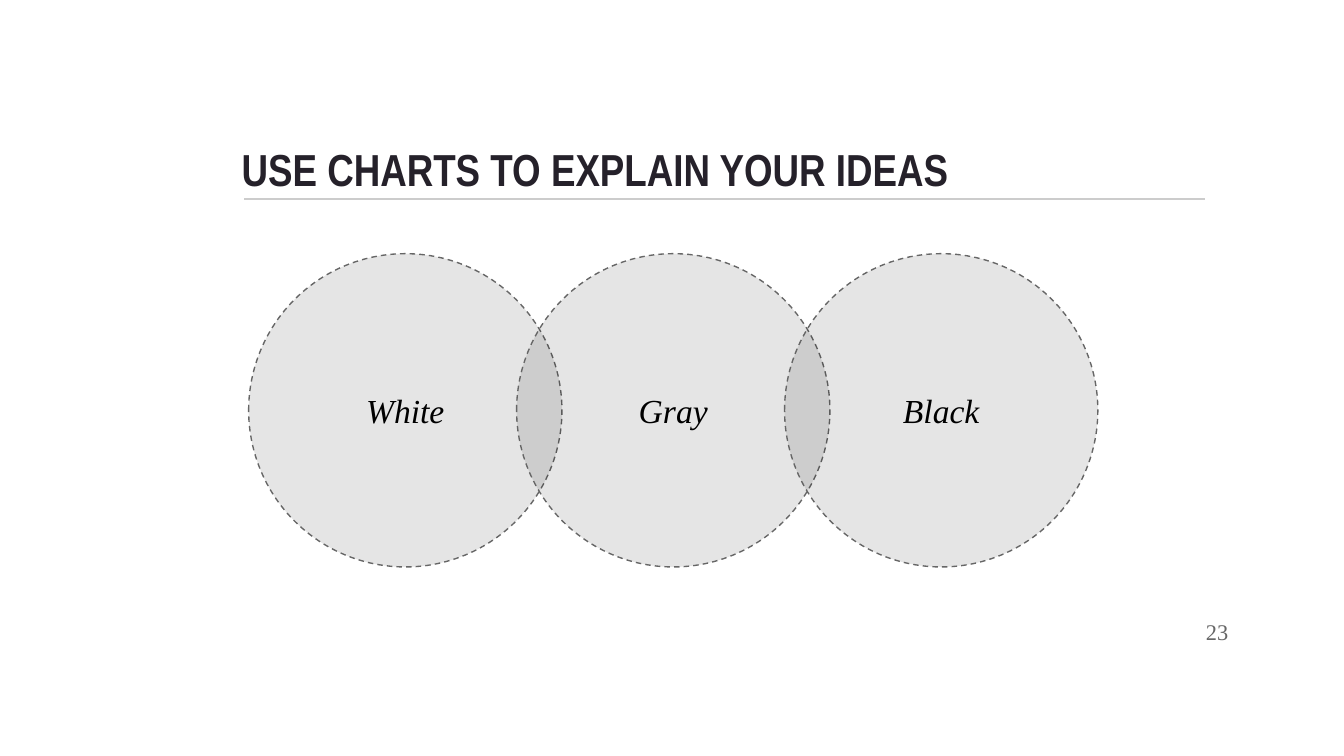
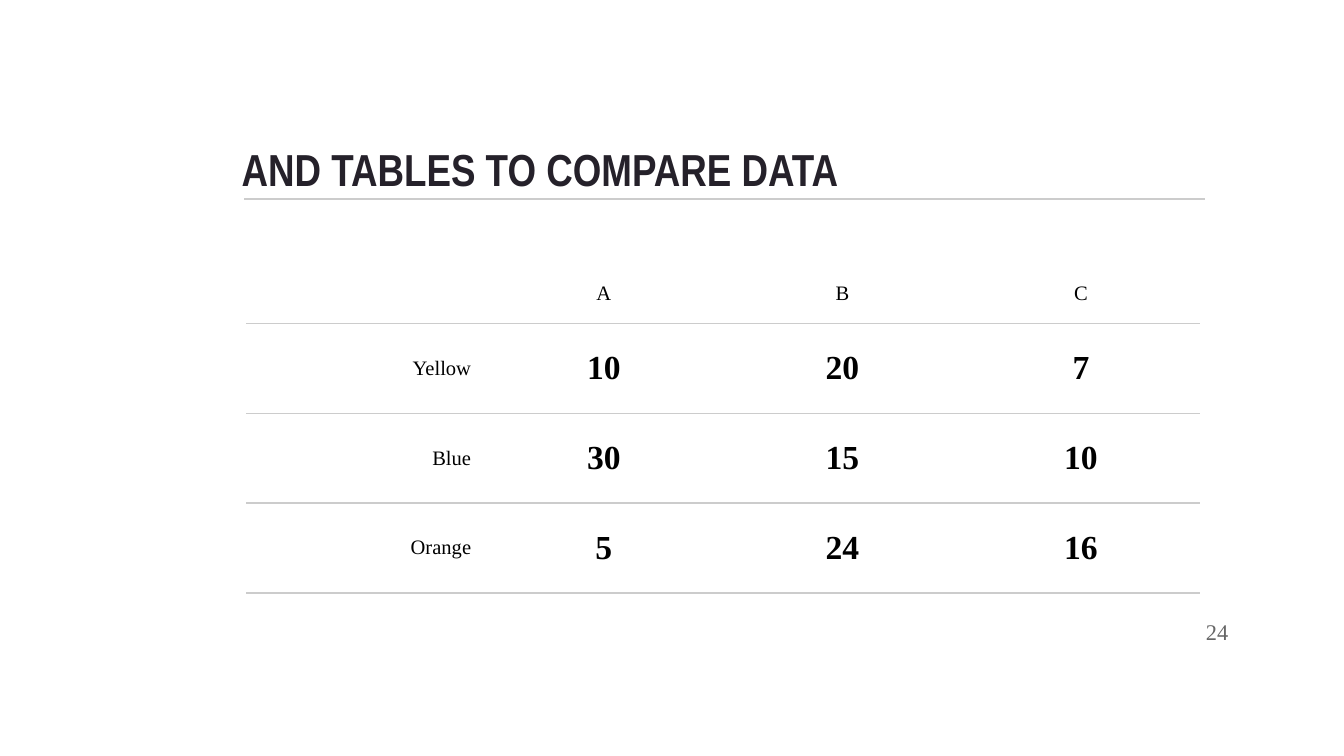
from dataclasses import dataclass

from lxml.etree import SubElement
from pptx import Presentation
from pptx.dml.color import RGBColor
from pptx.enum.dml import MSO_LINE
from pptx.enum.shapes import MSO_CONNECTOR, MSO_SHAPE
from pptx.enum.text import MSO_ANCHOR, PP_ALIGN
from pptx.oxml import parse_xml
from pptx.oxml.ns import nsdecls, qn
from pptx.util import Emu, Pt


@dataclass(frozen=True)
class Theme:
    title_color: str = "25212A"
    text_color: str = "000000"
    muted: str = "666666"
    rule: str = "CCCCCC"
    title_font: str = "Arial Narrow"
    body_font: str = "Times New Roman"
    title_size: int = 24
    large: int = 18
    footer_size: int = 12
    label_size: int = 11
    line_width: float = 0.75
    circle_opacity: int = 10


@dataclass(frozen=True)
class Box:
    left: int
    top: int
    width: int
    height: int

    def emu(self):
        return [px(n) for n in (self.left, self.top, self.width, self.height)]


THEME = Theme()
PX_PER_INCH = 160
PAGE_WIDTH, PAGE_HEIGHT = 1600, 900
INSET = 16
FIRST_NUMBER = 23
TITLE_BOX = Box(272, 126, 1158, 123)
TITLE_RULE = Box(291, 237, 1143, 0)
NUMBER_BOX = Box(1382, 717, 96, 69)
VENN_BOX = Box(296, 302, 1011, 373)
TABLE_BOX = Box(293, 315, 1136, 379)
HEADER_HEIGHT = 58
COMPARISON = [
    ["", "A", "B", "C"],
    ["Yellow", "10", "20", "7"],
    ["Blue", "30", "15", "10"],
    ["Orange", "5", "24", "16"],
]


def px(length):
    return Emu(length * 914400 // PX_PER_INCH)


def color(code):
    return RGBColor.from_string(code)


def write(frame, text, size, align=PP_ALIGN.LEFT, font=THEME.body_font,
          ink=THEME.text_color, bold=False, italic=False):
    para = frame.paragraphs[0]
    para.alignment = align
    span = para.add_run()
    span.text = text
    span.font.name = font
    span.font.size = Pt(size)
    span.font.bold = bold
    span.font.italic = italic
    span.font.color.rgb = color(ink)


def set_frame(frame, anchor):
    """Wrap the text, anchor it and give it equal insets."""
    frame.word_wrap = True
    frame.vertical_anchor = anchor
    frame.margin_left = frame.margin_right = px(INSET)
    frame.margin_top = frame.margin_bottom = px(INSET)
    return frame


def add_text(page, box, text, size, anchor, **style):
    shape = page.shapes.add_textbox(*box.emu())
    write(set_frame(shape.text_frame, anchor), text, size, **style)


def add_rule(page, box):
    left, top, width, height = box.emu()
    rule = page.shapes.add_connector(
        MSO_CONNECTOR.STRAIGHT, left, top, left + width, top + height)
    rule.line.color.rgb = color(THEME.rule)
    rule.line.width = Pt(THEME.line_width)
    SubElement(rule.element.spPr, qn("a:effectLst"))


def add_page(deck, title, number):
    """Add a page with the shared title, rule and page number."""
    page = deck.slides.add_slide(deck.slide_layouts[6])
    add_rule(page, TITLE_RULE)
    add_text(page, TITLE_BOX, title, THEME.title_size, MSO_ANCHOR.BOTTOM,
             font=THEME.title_font, ink=THEME.title_color, bold=True)
    add_text(page, NUMBER_BOX, str(number), THEME.footer_size, MSO_ANCHOR.MIDDLE,
             align=PP_ALIGN.RIGHT, ink=THEME.muted)
    return page


def add_circle(page, box, label):
    circle = page.shapes.add_shape(MSO_SHAPE.OVAL, *box.emu())
    circle.shadow.inherit = False
    circle.fill.solid()
    circle.fill.fore_color.rgb = color(THEME.text_color)
    tint = circle.element.spPr.find(qn("a:solidFill"))[0]
    SubElement(tint, qn("a:alpha"), val=str(THEME.circle_opacity * 1000))
    circle.line.color.rgb = color(THEME.muted)
    circle.line.width = Pt(THEME.line_width)
    circle.line.dash_style = MSO_LINE.DASH
    write(set_frame(circle.text_frame, MSO_ANCHOR.MIDDLE), label, THEME.large,
          align=PP_ALIGN.CENTER, italic=True)


def add_venn(page, box, labels):
    """Spread overlapping circles, as tall as the box, evenly across it."""
    size = box.height
    step = (box.width - size) // (len(labels) - 1)
    for index, label in enumerate(labels):
        add_circle(page, Box(box.left + index * step, box.top, size, size), label)


def set_borders(cell, ruled_sides):
    """Rule the given sides (L, R, T, B) and clear the others."""
    properties = cell._tc.get_or_add_tcPr()
    for index, side in enumerate("LRTB"):
        paint = "<a:noFill/>"
        if side in ruled_sides:
            paint = f'<a:solidFill><a:srgbClr val="{THEME.rule}"/></a:solidFill>'
        border = parse_xml(
            f'<a:ln{side} {nsdecls("a")} w="{Pt(THEME.line_width)}">{paint}</a:ln{side}>')
        properties.insert(index, border)


def fill_cell(cell, text, row, column):
    cell.fill.background()
    cell.vertical_anchor = MSO_ANCHOR.MIDDLE
    cell.margin_left = cell.margin_right = px(INSET)
    cell.margin_top = cell.margin_bottom = px(11)
    is_value = row > 0 and column > 0
    write(cell.text_frame, text, THEME.large if is_value else THEME.label_size,
          align=PP_ALIGN.CENTER if column else PP_ALIGN.RIGHT, bold=is_value)
    set_borders(cell, "TB" if row else "B")


def add_comparison(page, box, rows):
    table = page.shapes.add_table(len(rows), len(rows[0]), *box.emu()).table
    table.first_row = table.horz_banding = False
    for column in table.columns:
        column.width = px(box.width // len(rows[0]))
    row_height = (box.height - HEADER_HEIGHT) // (len(rows) - 1)
    for row, texts in enumerate(rows):
        table.rows[row].height = px(row_height if row else HEADER_HEIGHT)
        for column, text in enumerate(texts):
            fill_cell(table.cell(row, column), text, row, column)


def main():
    deck = Presentation()
    deck.slide_width, deck.slide_height = px(PAGE_WIDTH), px(PAGE_HEIGHT)
    page = add_page(deck, "USE CHARTS TO EXPLAIN YOUR IDEAS", FIRST_NUMBER)
    add_venn(page, VENN_BOX, ["White", "Gray", "Black"])
    page = add_page(deck, "AND TABLES TO COMPARE DATA", FIRST_NUMBER + 1)
    add_comparison(page, TABLE_BOX, COMPARISON)
    deck.save("out.pptx")


if __name__ == "__main__":
    main()
